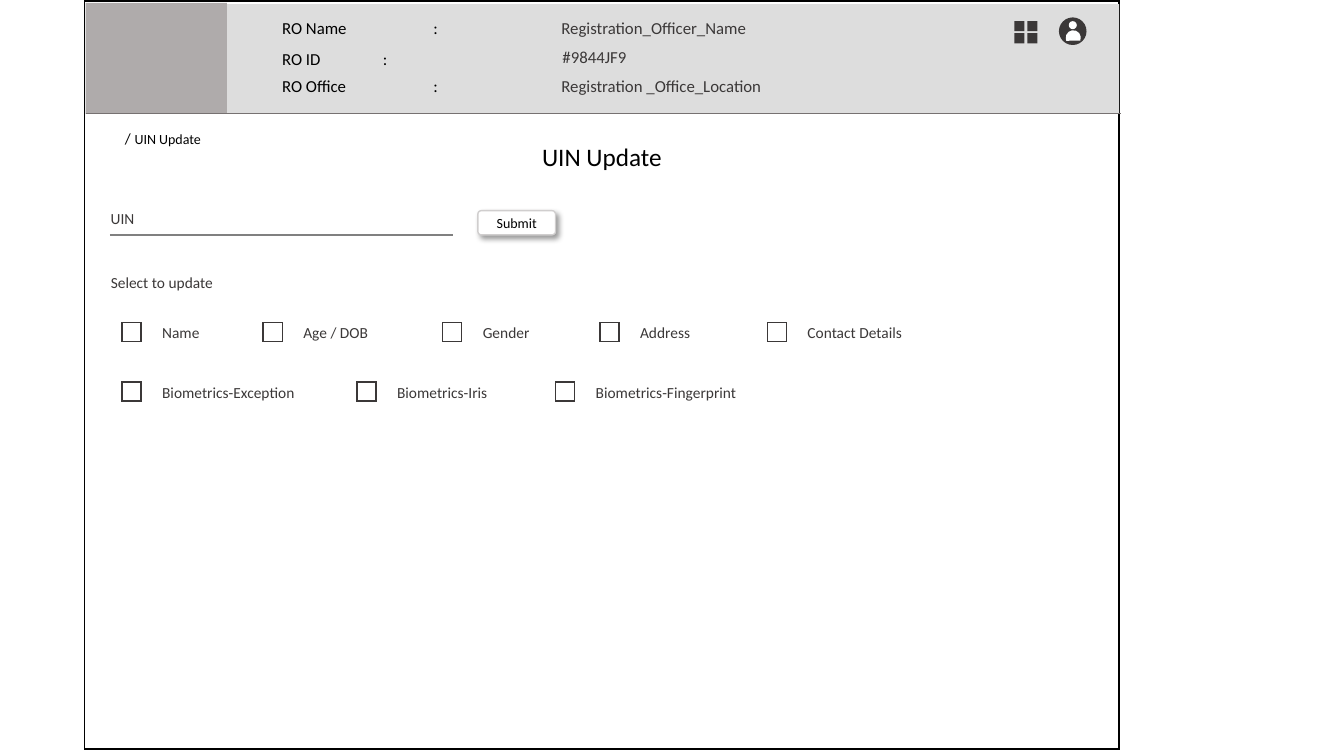
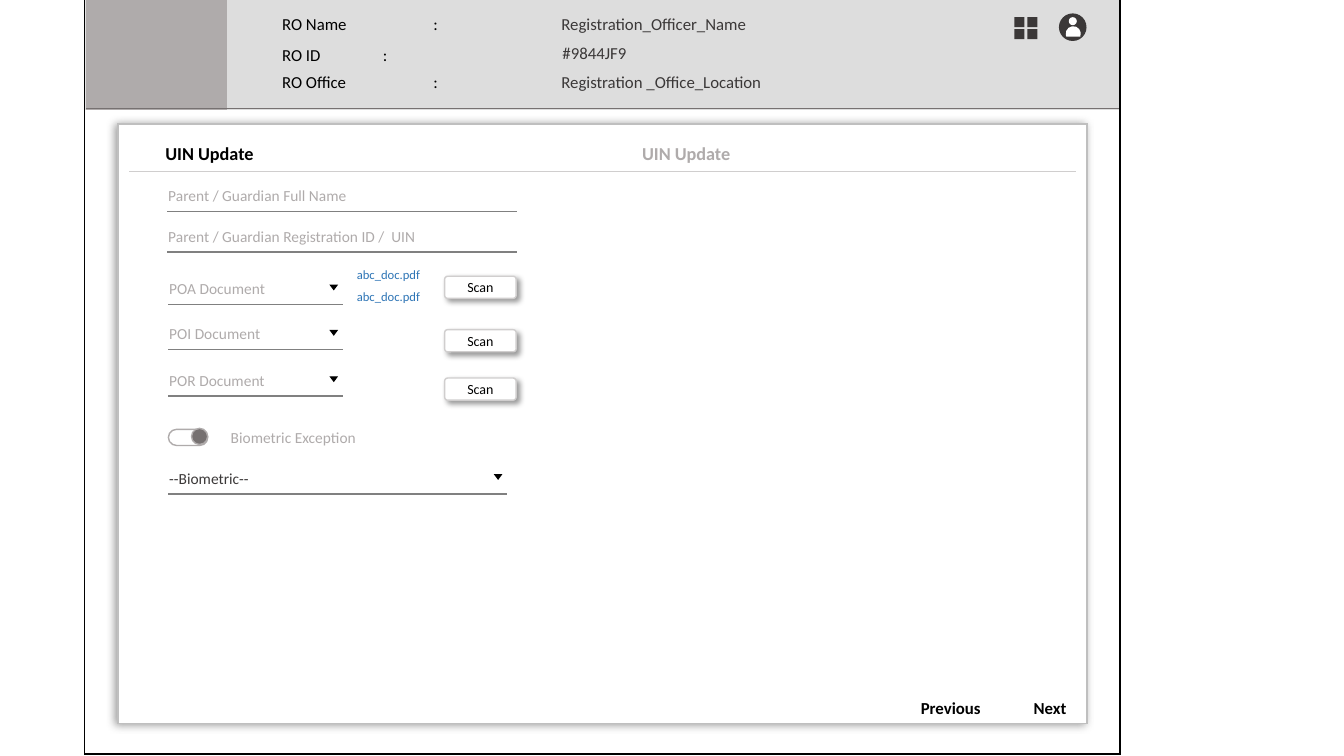
"""Build two registration screens for a UIN update."""
from dataclasses import dataclass
from typing import Optional, Union

from lxml.etree import SubElement
from pptx import Presentation
from pptx.dml.color import RGBColor
from pptx.enum.shapes import MSO_CONNECTOR, MSO_SHAPE
from pptx.enum.text import MSO_ANCHOR, MSO_AUTO_SIZE, PP_ALIGN
from pptx.oxml.ns import qn
from pptx.shapes.autoshape import Shape
from pptx.shapes.shapetree import GroupShapes, SlideShapes
from pptx.slide import Slide
from pptx.text.text import TextFrame, _Paragraph
from pptx.util import Inches, Pt

Shapes = Union[SlideShapes, GroupShapes]

FONT = "Calibri"
BLACK = RGBColor(0x00, 0x00, 0x00)
WHITE = RGBColor(0xFF, 0xFF, 0xFF)
INK = RGBColor(0x3B, 0x38, 0x38)
SLATE = RGBColor(0x76, 0x71, 0x71)
GREY = RGBColor(0x80, 0x80, 0x80)
MUTE = RGBColor(0xAF, 0xAB, 0xAB)
EDGE = RGBColor(0xBF, 0xBF, 0xBF)
PALE = RGBColor(0xD0, 0xCE, 0xCE)
BAND = RGBColor(0xDD, 0xDD, 0xDD)
BLUE = RGBColor(0x2E, 0x75, 0xB6)


@dataclass(frozen=True)
class Shade:
    """A soft outer shadow."""
    color: RGBColor
    alpha: int
    blur: float
    dist: float
    angle: int


@dataclass(frozen=True)
class Entry:
    """One row of officer details, with the tops of its two texts."""
    name: str
    value: str
    top: float
    val_top: float
    left: float
    width: float


@dataclass(frozen=True)
class Check:
    """A check box with a label."""
    word: str
    left: float
    top: float
    width: float


@dataclass(frozen=True)
class Field:
    """An underlined input, perhaps a drop-down."""
    word: str
    left: float
    base: float
    width: float
    span: float
    color: RGBColor = MUTE
    drop: bool = False


LIFT = Shade(BLACK, 40, 4, 3, 45)
GLOW = Shade(GREY, 80, 6, 2, 170)
ENTRIES = [
    Entry("RO Name", "Registration_Officer_Name", 0.13, 0.13, 5.41, 2.12),
    Entry("RO ID", "#9844JF9", 0.43, 0.41, 5.42, 0.91),
    Entry("RO Office", "Registration _Office_Location", 0.7, 0.7, 5.41, 2.27),
]
CHECKS = [
    Check("Name", 1.21, 3.2, 0.58),
    Check("Age / DOB", 2.61, 3.2, 0.85),
    Check("Gender", 4.39, 3.2, 0.67),
    Check("Address", 5.95, 3.2, 0.7),
    Check("Contact Details", 7.61, 3.2, 1.15),
    Check("Biometrics-Exception", 1.21, 3.79, 1.53),
    Check("Biometrics-Iris", 3.54, 3.79, 1.1),
    Check("Biometrics-Fingerprint", 5.51, 3.79, 1.6),
]
FIELDS = [
    Field("Parent / Guardian Full Name", 1.66, 2.1, 1.99, 3.47),
    Field("Parent / Guardian Registration ID /  UIN", 1.66, 2.5, 2.68, 3.47),
    Field("POA Document", 1.67, 3.02, 1.16, 1.73, drop=True),
    Field("POI Document", 1.67, 3.47, 1.11, 1.73, drop=True),
    Field("POR Document", 1.67, 3.93, 1.15, 1.73, drop=True),
    Field("--Biometric--", 1.67, 4.9, 1, 3.36, INK, True),
]


def write(para: _Paragraph, words: str, *, size: float = 11,
          color: RGBColor = BLACK, bold: bool = False) -> None:
    """Add a run of formatted text."""
    run = para.add_run()
    run.text = words
    run.font.name = FONT
    run.font.size = Pt(size)
    run.font.bold = bold
    run.font.color.rgb = color


def setup(frame: TextFrame, wrap: bool) -> _Paragraph:
    """Set up a growing text frame and give its first paragraph."""
    frame.word_wrap = wrap
    frame.auto_size = MSO_AUTO_SIZE.SHAPE_TO_FIT_TEXT
    frame.vertical_anchor = MSO_ANCHOR.TOP
    return frame.paragraphs[0]


def label(shapes: Shapes, words: str, left: float, top: float, width: float,
          height: float = 0.29, *, size: float = 11, color: RGBColor = INK,
          bold: bool = False, wrap: bool = False, indent: float = 0,
          align: PP_ALIGN = PP_ALIGN.LEFT) -> _Paragraph:
    """Place a line of text."""
    box = shapes.add_textbox(Inches(left), Inches(top), Inches(width), Inches(height))
    para = setup(box.text_frame, wrap)
    para.alignment = align
    if indent:
        para._p.get_or_add_pPr().set("marL", str(Inches(indent)))
    write(para, words, size=size, color=color, bold=bold)
    return para


def block(shapes: Shapes, left: float, top: float, width: float, height: float, *,
          kind: MSO_SHAPE = MSO_SHAPE.RECTANGLE, fill: Optional[RGBColor] = None,
          line: Optional[RGBColor] = None, shade: Optional[Shade] = None,
          turn: float = 0) -> Shape:
    """Draw a preset shape."""
    item = shapes.add_shape(kind, Inches(left), Inches(top), Inches(width), Inches(height))
    item.shadow.inherit = False
    item.rotation = turn
    if fill is None:
        item.fill.background()
    else:
        item.fill.solid()
        item.fill.fore_color.rgb = fill
    if line is None:
        item.line.fill.background()
    else:
        item.line.color.rgb = line
        item.line.width = Pt(1)
        SubElement(item.element.spPr.find(qn("a:ln")), qn("a:miter"), lim="800000")
    if shade:
        cast(item, shade)
    return item


def cast(item: Shape, shade: Shade) -> None:
    """Give a shape its shadow."""
    node = SubElement(
        item.element.spPr.find(qn("a:effectLst")), qn("a:outerShdw"),
        blurRad=str(Pt(shade.blur)), dist=str(Pt(shade.dist)),
        dir=str(shade.angle * 60000), algn="ctr", rotWithShape="0")
    tint = SubElement(node, qn("a:srgbClr"), val=str(shade.color))
    SubElement(tint, qn("a:alpha"), val=str(shade.alpha * 1000))


def rule(shapes: Shapes, left: float, top: float, span: float, *,
         color: RGBColor = GREY, weight: float = 1) -> None:
    """Draw a level line."""
    item = shapes.add_connector(MSO_CONNECTOR.STRAIGHT, Inches(left), Inches(top),
                                Inches(left + span), Inches(top))
    item.line.color.rgb = color
    item.line.width = Pt(weight)
    SubElement(item.element.spPr, qn("a:effectLst"))


def head(slide: Slide, words: str, left: float, top: float, width: float,
         height: float, *, size: float, bold: bool = False,
         align: PP_ALIGN = PP_ALIGN.LEFT) -> None:
    """Place the title above what is drawn so far."""
    title = slide.shapes.title
    title.left, title.top = Inches(left), Inches(top)
    title.width, title.height = Inches(width), Inches(height)
    para = setup(title.text_frame, True)
    para.alignment = align
    write(para, words, size=size, bold=bold)
    slide.shapes.element.append(title.element)


def button(shapes: Shapes, words: str, left: float, top: float,
           width: float, height: float) -> None:
    """Draw a raised button."""
    item = block(shapes, left, top, width, height, kind=MSO_SHAPE.ROUNDED_RECTANGLE,
                 fill=WHITE, line=PALE, shade=LIFT)
    item.adjustments[0] = 0.14
    frame = item.text_frame
    frame.vertical_anchor = MSO_ANCHOR.MIDDLE
    frame.paragraphs[0].alignment = PP_ALIGN.CENTER
    write(frame.paragraphs[0], words, size=10)


def field(shapes: Shapes, item: Field) -> None:
    """Draw an input with its line and arrow."""
    rule(shapes, item.left, item.base, item.span)
    label(shapes, item.word, item.left - 0.09, item.base - 0.3, item.width, color=item.color)
    if item.drop:
        block(shapes, item.left + item.span - 0.12, item.base - 0.19, 0.06, 0.04,
              kind=MSO_SHAPE.ISOSCELES_TRIANGLE, fill=BLACK, line=BLACK, turn=180)


def check(shapes: Shapes, item: Check) -> None:
    """Draw a check box and its label."""
    block(shapes, item.left, item.top, 0.19, 0.19, line=INK)
    label(shapes, item.word, item.left + 0.3, item.top - 0.04, item.width)


def banner(slide: Slide, shift: float = 0) -> None:
    """Draw the officer band with its icons."""
    shapes = slide.shapes.add_group_shape().shapes
    block(shapes, 0.86, 0.04 + shift, 10.24, 1.09, fill=BAND)
    block(shapes, 0.85, 0.03 + shift, 1.4, 1.1, fill=MUTE)
    rule(shapes, 0.85, 1.12 + shift, 10.27, color=SLATE, weight=0.5)
    for row in ENTRIES:
        label(shapes, f"{row.name}\t\t:", 2.64, row.top + shift, 2.27, 0.3,
              size=12, color=BLACK, indent=0.06)
        label(shapes, row.value, row.left, row.val_top + shift, row.width, 0.3,
              size=12, indent=0.06)
    block(shapes, 10.51, 0.18 + shift, 0.26, 0.26, kind=MSO_SHAPE.OVAL, fill=INK, line=INK)
    block(shapes, 10.6, 0.21 + shift, 0.08, 0.08, kind=MSO_SHAPE.OVAL, fill=WHITE)
    block(shapes, 10.57, 0.3 + shift, 0.15, 0.15, kind=MSO_SHAPE.CHORD, fill=WHITE, turn=111.5)
    for row in range(2):
        for col in range(2):
            block(shapes, 10.06 + 0.13 * col, 0.21 + 0.12 * row + shift, 0.1, 0.1, fill=INK)


def choose(slide: Slide) -> None:
    """Draw the screen that picks what to update."""
    shapes = slide.shapes
    block(shapes, 0.84, 0.01, 10.26, 7.42, line=BLACK)
    head(slide, "UIN Update", 4.69, 1.35, 2.56, 0.4, size=18, align=PP_ALIGN.CENTER)
    banner(slide)
    crumb = label(shapes, "/", 1.14, 1.22, 0.97, 0.3, color=BLACK)
    write(crumb, " ", size=12)
    write(crumb, "UIN Update", size=10)
    button(shapes, "Submit", 4.74, 2.09, 0.77, 0.24)
    field(shapes, Field("UIN", 1.09, 2.33, 0.44, 3.4, INK))
    label(shapes, "Select to update", 1, 2.66, 1.22)
    for item in CHECKS:
        check(shapes, item)


def fill_in(slide: Slide) -> None:
    """Draw the screen with the guardian and document form."""
    shapes = slide.shapes
    block(shapes, 1.17, 1.23, 9.61, 5.95, fill=WHITE, line=EDGE, shade=GLOW)
    banner(slide, -0.04)
    block(shapes, 0.84, -0.02, 10.27, 7.5, line=BLACK)
    head(slide, "UIN Update", 1.54, 1.36, 2.23, 0.32, size=13, bold=True)
    label(shapes, "UIN Update", 6.27, 1.36, 2.67, 0.32, size=13, color=MUTE,
          bold=True, wrap=True)
    rule(shapes, 1.28, 1.7, 9.39, color=PALE, weight=0.5)
    for item in FIELDS:
        field(shapes, item)
    for top in (2.6, 2.82):
        label(shapes, "abc_doc.pdf", 3.44, top, 0.89, 0.25, size=9, color=BLUE)
    for top in (2.74, 3.27, 3.75):
        button(shapes, "Scan", 4.41, top, 0.71, 0.22)
    switch = shapes.add_group_shape().shapes
    track = block(switch, 1.67, 4.26, 0.39, 0.16, kind=MSO_SHAPE.ROUNDED_RECTANGLE,
                  fill=WHITE, line=MUTE)
    track.adjustments[0] = 0.5
    block(switch, 1.9, 4.25, 0.16, 0.16, kind=MSO_SHAPE.OVAL, fill=SLATE, line=MUTE)
    label(shapes, "Biometric Exception", 2.19, 4.2, 1.45, color=MUTE)
    for words, left, width in (("Previous", 9.03, 0.8), ("Next", 10.15, 0.53)):
        label(shapes, words, left, 6.87, width, 0.3, size=12, color=BLACK,
              bold=True, align=PP_ALIGN.CENTER)


def main() -> None:
    """Build and save the deck."""
    deck = Presentation()
    deck.slide_width, deck.slide_height = Inches(13.33), Inches(7.5)
    for draw in (choose, fill_in):
        draw(deck.slides.add_slide(deck.slide_layouts[5]))
    deck.save("out.pptx")


if __name__ == "__main__":
    main()
